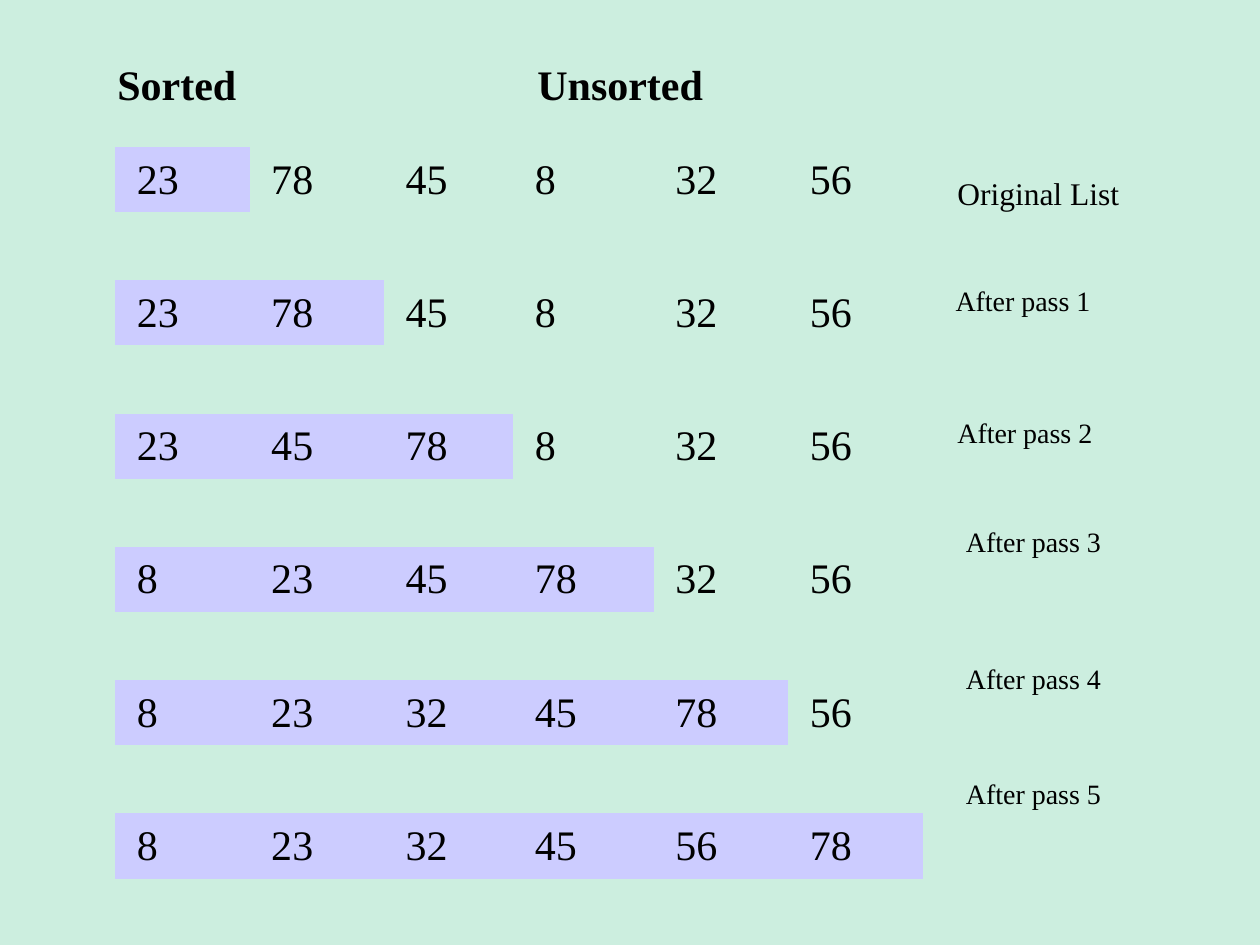
from pptx import Presentation, util as u
from pptx.dml import color
from pptx.enum import text as t

COLS, ROWS = 12, 18
WIDE, HIGH = u.Inches(10), u.Inches(7.5)
PLAIN = "{2D5ABB26-0587-4C30-8999-92F81FD0307C}"  # no style, no grid


def hue(code):
    """Turn a hex string into a colour."""
    return color.RGBColor.from_string(code)


def across(n):
    """Width of n grid columns."""
    return round(WIDE * n / COLS)


def down(n):
    """Height of n grid rows."""
    return round(HIGH * n / ROWS)


def write(frame, words, size=24, bold=None, ink="000000", font="Times New Roman",
          before=None, line=None, inset=(0.1, 0.05, 0.1, 0.05)):
    """Put one formatted paragraph into a text frame."""
    (frame.margin_left, frame.margin_top,
     frame.margin_right, frame.margin_bottom) = map(u.Inches, inset)
    para = frame.paragraphs[0]
    if before:
        para.space_before = u.Pt(before)
    if line:
        para.line_spacing = line
    run = para.add_run()
    run.text = words
    run.font.name, run.font.size, run.font.bold = font, u.Pt(size), bold
    run.font.color.rgb = hue(ink)


class Page:
    """The slide and its style."""
    back, done = "CCEEDF", "CCCCFF"

    def __init__(self, deck):
        """Add a blank slide with a plain background."""
        self.slide = deck.slides.add_slide(deck.slide_layouts[6])
        fill = self.slide.background.fill
        fill.solid()
        fill.fore_color.rgb = hue(self.back)

    def label(self, words, col, row, wide=2.25, high=0.9, grow=False, **style):
        """Add a text box at a grid place."""
        box = self.slide.shapes.add_textbox(
            across(col), down(row), across(wide), down(high))
        frame = box.text_frame
        frame.word_wrap = True
        if grow:
            frame.auto_size = t.MSO_AUTO_SIZE.SHAPE_TO_FIT_TEXT
        write(frame, words, **style)

    def table(self, passes, col, row, widths, high, gap):
        """Add the passes as table rows with a spacer row between them."""
        count = 2 * len(passes) - 1
        grid = self.slide.shapes.add_table(
            count, len(widths), across(col), down(row), across(sum(widths)),
            down(len(passes) * (high + gap) - gap)).table
        grid.first_row = grid.horz_banding = False
        grid._tbl.tblPr[0].text = PLAIN
        for column, wide in zip(grid.columns, widths):
            column.width = across(wide)
        for i, line in enumerate(grid.rows):
            line.height = down(gap if i % 2 else high)
        for i, nums in enumerate(passes):
            for j, num in enumerate(nums):
                cell = grid.cell(2 * i, j)
                write(cell.text_frame, str(num), before=6, line=0.86)
                cell.margin_left, cell.margin_top = u.Inches(0.17), u.Inches(0.12)
                cell.margin_right, cell.margin_bottom = u.Inches(0.1), u.Inches(0.05)
                if j <= i:
                    cell.fill.solid()
                    cell.fill.fore_color.rgb = hue(self.done)


deck = Presentation()
deck.slide_width, deck.slide_height = WIDE, HIGH
page = Page(deck)

page.label("Original List", 9, 3.2, size=18)
bare = (0, 0, 0, 0)
spots = [(9.1, 5.4, bare), (9, 7.8, (0.1, 0.05, 0.1, 0.05)),
         (9.2, 10, bare), (9.2, 12.6, bare), (9.2, 14.8, bare)]
for n, (col, row, inset) in enumerate(spots, 1):
    page.label(f"After pass {n}", col, row, size=16, inset=inset)

start = [23, 78, 45, 8, 32, 56]
passes = [sorted(start[:n]) + start[n:] for n in range(1, len(start) + 1)]
page.table(passes, 1.1, 2.8, [1.28, 1.28, 1.23, 1.34, 1.28, 1.28], 1.24, 1.3)

for words, col in (("Sorted", 1), ("Unsorted", 5)):
    page.label(words, col, 1, 1.9, 1.2, grow=True, bold=True, before=15)

deck.save("out.pptx")
